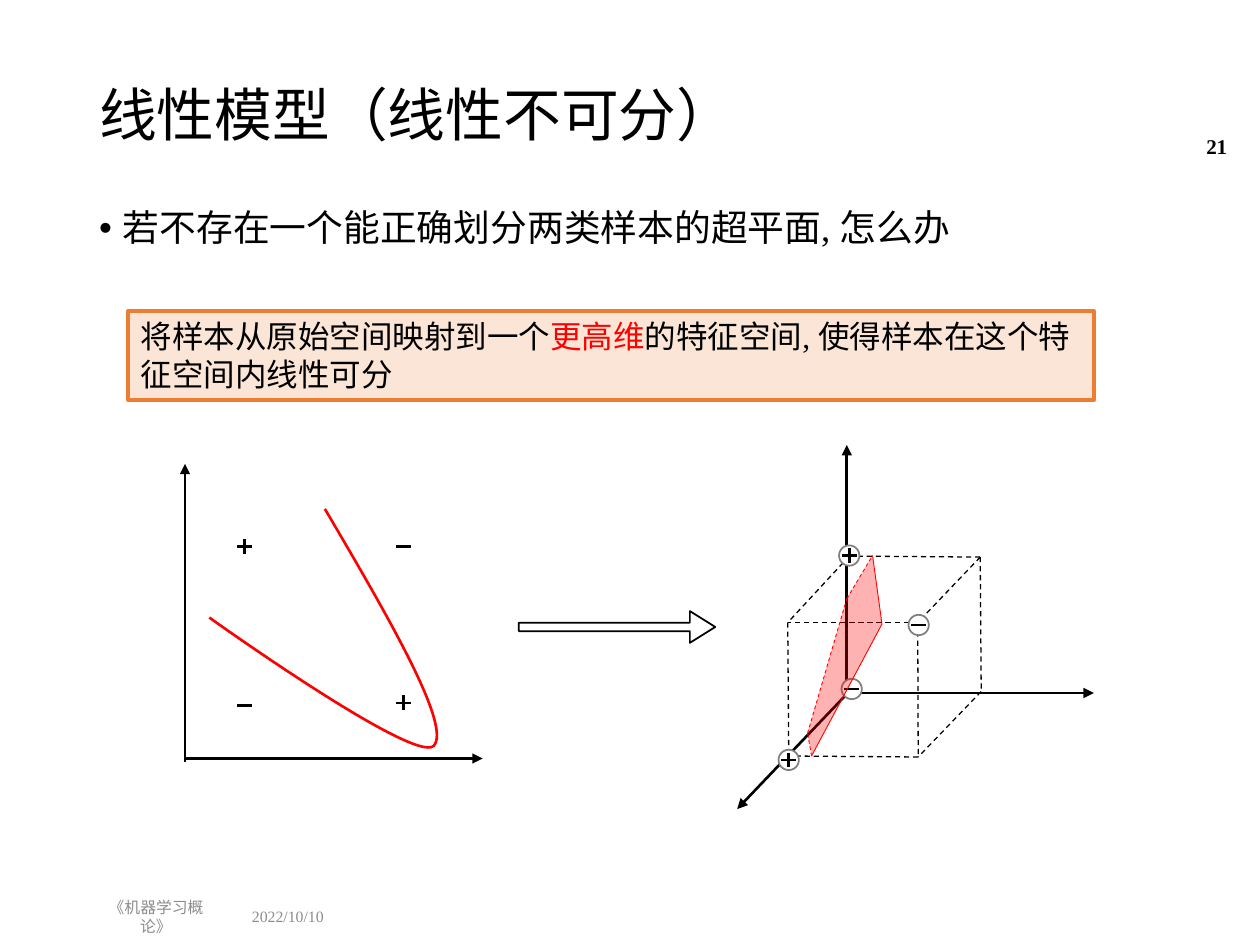
from lxml.etree import SubElement
from pptx import Presentation
from pptx.dml.color import RGBColor
from pptx.enum.dml import MSO_LINE
from pptx.enum.shapes import MSO_CONNECTOR, MSO_SHAPE
from pptx.enum.text import MSO_ANCHOR, PP_ALIGN
from pptx.oxml.ns import qn
from pptx.util import Cm, Pt

FONT = "Times New Roman"
BLACK, RED, GRAY, WHITE = "000000", "FF0000", "8C8C8C", "FFFFFF"

TITLE = "线性模型（线性不可分）"
QUESTION = "若不存在一个能正确划分两类样本的超平面, 怎么办"
ANSWER = [
    ("将样本从原始空间映射到一个", BLACK),
    ("更高维", RED),
    ("的特征空间, 使得样本在这个特征空间内线性可分", BLACK),
]
FOOTERS = [
    ("2022/10/10", (4.83, 18.11, 2.31, 0.74), 9, GRAY, PP_ALIGN.LEFT),
    ("《机器学习概论》", (1.75, 18.11, 2.79, 0.74), 9, GRAY, PP_ALIGN.CENTER),
    ("21", (23.24, 2.44, 1.75, 1.02), 12, BLACK, PP_ALIGN.RIGHT),
]

PLANE_AXES = [((3.73, 15.37), (3.73, 9.35)), ((3.73, 15.29), (9.73, 15.29))]
SPACE_AXES = [
    ((17.07, 13.97), (17.07, 8.97)),
    ((17.04, 13.97), (22.05, 13.97)),
    ((17.09, 13.97), (14.86, 16.31)),
]
PLANE_SAMPLES = [(4.93, 11.02, "+"), (8.13, 11.02, "-"), (4.93, 14.22, "-"), (8.13, 14.17, "+")]
SPACE_SAMPLES = [(15.9, 15.32, "+"), (17.12, 11.2, "+"), (18.52, 12.6, "-"), (17.17, 13.89, "-")]
CURVE = [(6.55, 10.26), (7.85, 12.47), (9.12, 14.66), (8.74, 15.04),
         (8.33, 15.39), (4.22, 12.45), (4.22, 12.45)]
CUBE = {
    "A": (17.12, 11.21), "B": (19.76, 11.23), "C": (15.88, 12.55), "D": (18.5, 12.55),
    "E": (15.9, 15.24), "F": (18.51, 15.26), "G": (19.78, 13.94),
}
CUBE_EDGES = ["AC", "CE", "BG", "BA", "FE", "GF", "DC", "DF", "BD"]
HYPERPLANE = [(17.59, 11.2), (17.78, 12.58), (16.36, 15.24), (16.28, 14.78), (17.07, 12.07)]
HYPERPLANE_SOLID_EDGES = 2
SIGN_SIZE, RING_SIZE = 0.3, 0.41

deck = Presentation()
deck.slide_width, deck.slide_height = Cm(25.4), Cm(19.05)
page = deck.slides.add_slide(deck.slide_layouts[6])


def color(value):
    return RGBColor.from_string(value)


def style_font(font, size, value, bold=False):
    font.name, font.size, font.bold = FONT, Pt(size), bold
    font.color.rgb = color(value)


def add_text(text, place, size, value, align=PP_ALIGN.LEFT, anchor=MSO_ANCHOR.MIDDLE, bold=False):
    box = page.shapes.add_textbox(*map(Cm, place))
    frame = box.text_frame
    frame.word_wrap = True
    frame.vertical_anchor = anchor
    frame.text = text
    para = frame.paragraphs[0]
    para.alignment = align
    style_font(para.runs[0].font, size, value, bold)
    return para


def add_line(start, end, value=BLACK, width=1.5, dashed=False, arrow=False):
    line = page.shapes.add_connector(MSO_CONNECTOR.STRAIGHT, *map(Cm, (*start, *end)))
    line.line.color.rgb = color(value)
    line.line.width = Pt(width)
    if dashed:
        line.line.dash_style = MSO_LINE.DASH
    if arrow:
        SubElement(line.line._get_or_add_ln(), qn("a:tailEnd"), type="triangle")
    SubElement(line._element.spPr, qn("a:effectLst"))


def paint(shape, fill=None, line=None, width=1):
    shape.shadow.inherit = False
    if fill:
        shape.fill.solid()
        shape.fill.fore_color.rgb = color(fill)
    else:
        shape.fill.background()
    if line:
        shape.line.color.rgb = color(line)
        shape.line.width = Pt(width)
    else:
        shape.line.fill.background()
    return shape


def add_preset(kind, place, **look):
    return paint(page.shapes.add_shape(kind, *map(Cm, place)), **look)


def add_outline(points, close, **look):
    points = [(Cm(x), Cm(y)) for x, y in points]
    builder = page.shapes.build_freeform(*points[0])
    builder.add_line_segments(points[1:], close=close)
    return paint(builder.convert_to_shape(), **look)


def add_sample(x, y, sign, ringed):
    if ringed:
        corner = (x - RING_SIZE / 2, y - RING_SIZE / 2)
        add_preset(MSO_SHAPE.OVAL, (*corner, RING_SIZE, RING_SIZE), fill=WHITE, line="808080")
    half = SIGN_SIZE / 2
    add_line((x - half, y), (x + half, y))
    if sign == "+":
        add_line((x, y - half), (x, y + half))


def bend(shape):
    path = shape._element.find(".//" + qn("a:path"))
    segments = path.findall(qn("a:lnTo"))
    for first in range(0, len(segments), 3):
        curve = SubElement(path, qn("a:cubicBezTo"))
        for segment in segments[first:first + 3]:
            curve.append(segment[0])
            path.remove(segment)


title = add_text(TITLE, (1.75, 1.02, 21.9, 2.72), 33, BLACK)
title.line_spacing = 0.9

question = add_text(QUESTION, (1.75, 4.11, 21.9, 13.69), 21, BLACK, anchor=MSO_ANCHOR.TOP)
question.line_spacing = 0.9
properties = question._p.get_or_add_pPr()
properties.set("marL", str(Cm(0.48)))
properties.set("indent", str(Cm(-0.48)))
SubElement(properties, qn("a:buFont"), typeface="Arial")
SubElement(properties, qn("a:buChar"), char="•")

for text, place, size, value, align in FOOTERS:
    add_text(text, place, size, value, align, bold=value == BLACK)

answer = add_preset(MSO_SHAPE.RECTANGLE, (2.59, 6.27, 19.46, 1.8), fill="FBE5D6", line="ED7D31", width=2.25)
answer.text_frame.word_wrap = True
answer.text_frame.vertical_anchor = MSO_ANCHOR.TOP
para = answer.text_frame.paragraphs[0]
para.alignment = PP_ALIGN.LEFT
for text, value in ANSWER:
    span = para.add_run()
    span.text = text
    style_font(span.font, 18, value)

for start, end in PLANE_AXES + SPACE_AXES:
    add_line(start, end, arrow=True)
for sample in PLANE_SAMPLES:
    add_sample(*sample, ringed=False)
bend(add_outline(CURVE, False, line=RED, width=1.5))

for start, end in CUBE_EDGES:
    add_line(CUBE[start], CUBE[end], width=0.75, dashed=True)
for sample in SPACE_SAMPLES:
    add_sample(*sample, ringed=True)

for index, start in enumerate(HYPERPLANE):
    end = HYPERPLANE[(index + 1) % len(HYPERPLANE)]
    add_line(start, end, RED, 0.5, dashed=index >= HYPERPLANE_SOLID_EDGES)
hyperplane = add_outline(HYPERPLANE, True, fill=RED)
tint = hyperplane._element.spPr.find(qn("a:solidFill"))[0]
SubElement(tint, qn("a:alpha"), val="30000")

mapping = add_preset(MSO_SHAPE.RIGHT_ARROW, (10.46, 12.32, 3.96, 0.64), line=BLACK)
mapping.adjustments[0], mapping.adjustments[1] = 0.263, 0.799

deck.save("out.pptx")
